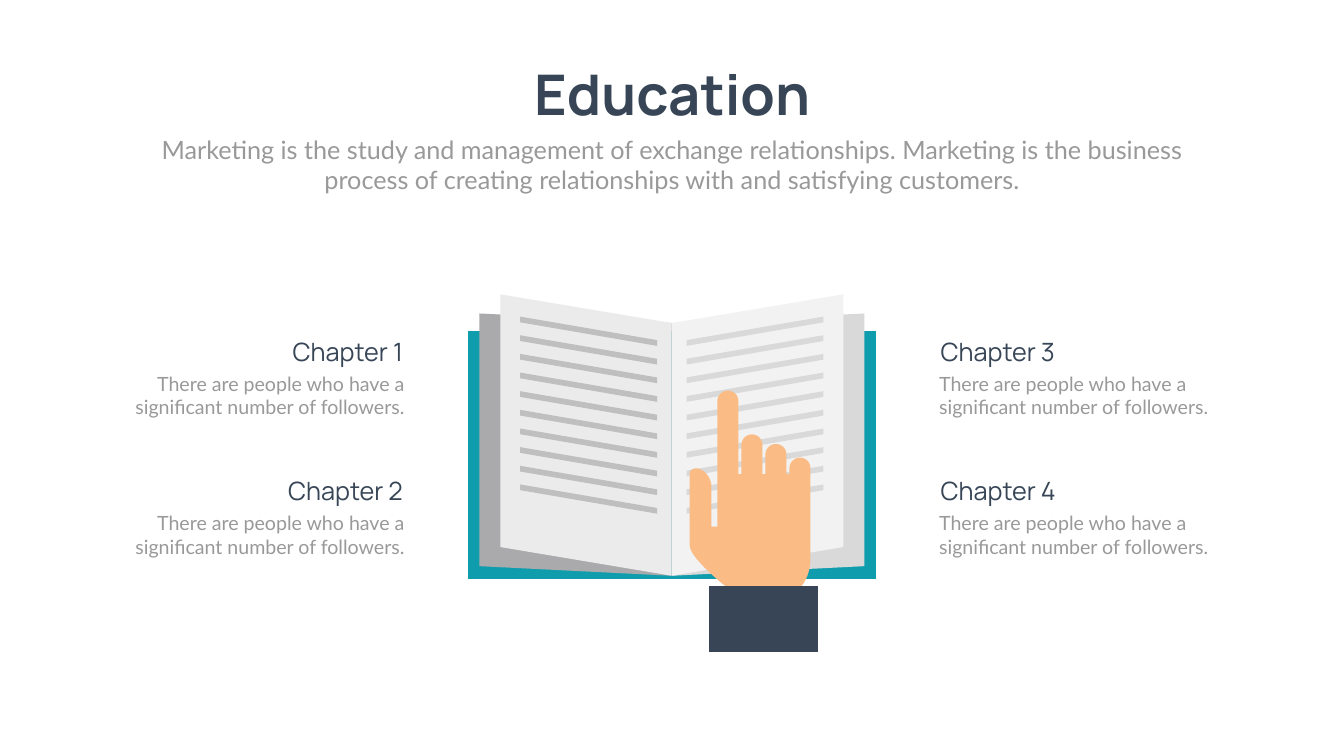
from pptx import Presentation
from pptx.dml.color import RGBColor
from pptx.enum.text import MSO_ANCHOR as ANCHOR, PP_ALIGN as ALIGN
from pptx.util import Pt
from math import cos, pi, sin

NAVY, TEAL, GREY, SKIN = "374556", "0F9DAD", "999999", "FABB85"
HEAD, BODY = "Manrope", "Lato"
SPINE = 959.5


def rgb(color):
    return RGBColor.from_string(color)


def bezier(p0, p1, p2, p3, steps=12):
    """Points along a cubic curve, both ends included."""
    points = []
    for i in range(steps + 1):
        t = i / steps
        u = 1 - t
        points.append(tuple(u**3 * a + 3 * u * u * t * b + 3 * u * t * t * c + t**3 * d
                            for a, b, c, d in zip(p0, p1, p2, p3)))
    return points


def finger(left, tip, base, width=30, steps=24):
    """Outline of a round-tipped finger, from its left base to its right base."""
    r = width / 2
    arc = [(left + r - r * cos(pi * i / steps), tip + r - r * sin(pi * i / steps))
           for i in range(steps + 1)]
    return [(left, base), *arc, (left + width, base)]


def write(tf, text, font=BODY, size=28, color=GREY, bold=False, align=ALIGN.LEFT):
    p = tf.paragraphs[0]
    p.alignment = align
    r = p.add_run()
    r.text = text
    r.font.name, r.font.size, r.font.bold = font, Pt(size), bold
    r.font.color.rgb = rgb(color)


class Deck:
    """Holds the slide and the shape collection that is being drawn on."""

    def __init__(self, s):
        self.s = s
        self.shapes = s.shapes

    def background(self, color):
        fill = self.s.background.fill
        fill.solid()
        fill.fore_color.rgb = rgb(color)

    def group(self):
        """Start a new group; later elements go into it."""
        self.shapes = self.s.shapes.add_group_shape().shapes

    def text(self, x, y, w, h, text, wrap=True, **style):
        tf = self.shapes.add_textbox(Pt(x), Pt(y), Pt(w), Pt(h)).text_frame
        tf.word_wrap = wrap
        tf.vertical_anchor = ANCHOR.MIDDLE
        write(tf, text, **style)

    def polygon(self, points, color):
        start, *rest = [(Pt(x), Pt(y)) for x, y in points]
        builder = self.shapes.build_freeform(*start)
        builder.add_line_segments(rest, close=True)
        sp = builder.convert_to_shape()
        sp.shadow.inherit = False
        sp.fill.solid()
        sp.fill.fore_color.rgb = rgb(color)
        sp.line.fill.background()

    def rect(self, x, y, w, h, color):
        self.polygon([(x, y), (x + w, y), (x + w, y + h), (x, y + h)], color)

    def slant(self, side, inner, outer, y_inner, y_outer, h, color):
        """Slanted strip on one side (-1 left, 1 right) of the spine."""
        x1, x2 = SPINE + side * inner, SPINE + side * outer
        self.polygon([(x1, y_inner), (x2, y_outer), (x2, y_outer + h), (x1, y_inner + h)], color)


def draw_book(deck):
    deck.group()
    deck.rect(668.9, 473, 581.8, 354.6, TEAL)
    for side, back, page, line in ((-1, "AAAAAC", "EBEBEB", "BFBFBF"),
                                   (1, "D9D9D9", "F2F2F2", "D9D9D9")):
        deck.slant(side, 0.3, 275, 461.5, 447.8, 361, back)
        deck.slant(side, 0.3, 245, 461.5, 420.5, 361, page)
        for i in range(10):
            y = 452.3 + 26.64 * i
            deck.slant(side, 21, 216.5, y + 33.6, y, 8.2, line)


def draw_hand(deck):
    outline = [(1024.6, 752.4)]
    for i, tip in enumerate((558, 620.6, 634.3, 653.8)):
        outline += finger(1024.6 + 34.3 * i, tip, 677.5)
    outline += bezier((1157.5, 797.8), (1157.5, 825.1), (1142.6, 847.4), (1125.4, 847.4))
    outline += bezier((1055.5, 847.4), (1049, 846.7), (1044, 844.6), (1039.7, 840.2))
    outline += bezier((1039.7, 840.2), (1023.8, 828), (985, 794.9), (985, 779))
    outline += bezier((985, 676.8), (985, 668.2), (996.5, 668.2), (1000.1, 670.3))
    outline += bezier((1000.1, 670.3), (1008.7, 673.9), (1014.5, 683.3), (1015.9, 691.9))
    outline.append((1015.9, 752.4))
    deck.polygon(outline, SKIN)
    deck.rect(1012.3, 836.6, 156.2, 95, NAVY)


def draw_chapters(deck):
    for first, x_head, x_body, align in ((1, 197.3, 170.6, ALIGN.RIGHT),
                                         (3, 1336.3, 1334.2, ALIGN.LEFT)):
        deck.group()
        for row in range(2):
            y = 475.9 + 199.2 * row
            deck.text(x_head, y, 385.2, 51, f"Chapter {first + row}",
                      font=HEAD, size=36, color=NAVY, align=align)
            deck.text(x_body, y + 51, 414, 75,
                      "There are people who have a significant number of followers.", align=align)


def main():
    prs = Presentation()
    prs.slide_width, prs.slide_height = Pt(1919.5), Pt(1080)
    deck = Deck(prs.slides.add_slide(prs.slide_layouts[6]))
    deck.background("FEFFFE")
    deck.text(743, 80.6, 434.2, 104.4, "Education", wrap=False,
              font=HEAD, size=80, color=NAVY, bold=True, align=ALIGN.CENTER)
    deck.text(210.2, 187.9, 1499, 94.3,
              "Marketing is the study and management of exchange relationships. "
              "Marketing is the business process of creating relationships with "
              "and satisfying customers.", size=36, align=ALIGN.CENTER)
    draw_book(deck)
    draw_hand(deck)
    draw_chapters(deck)
    prs.save("out.pptx")


if __name__ == "__main__":
    main()
